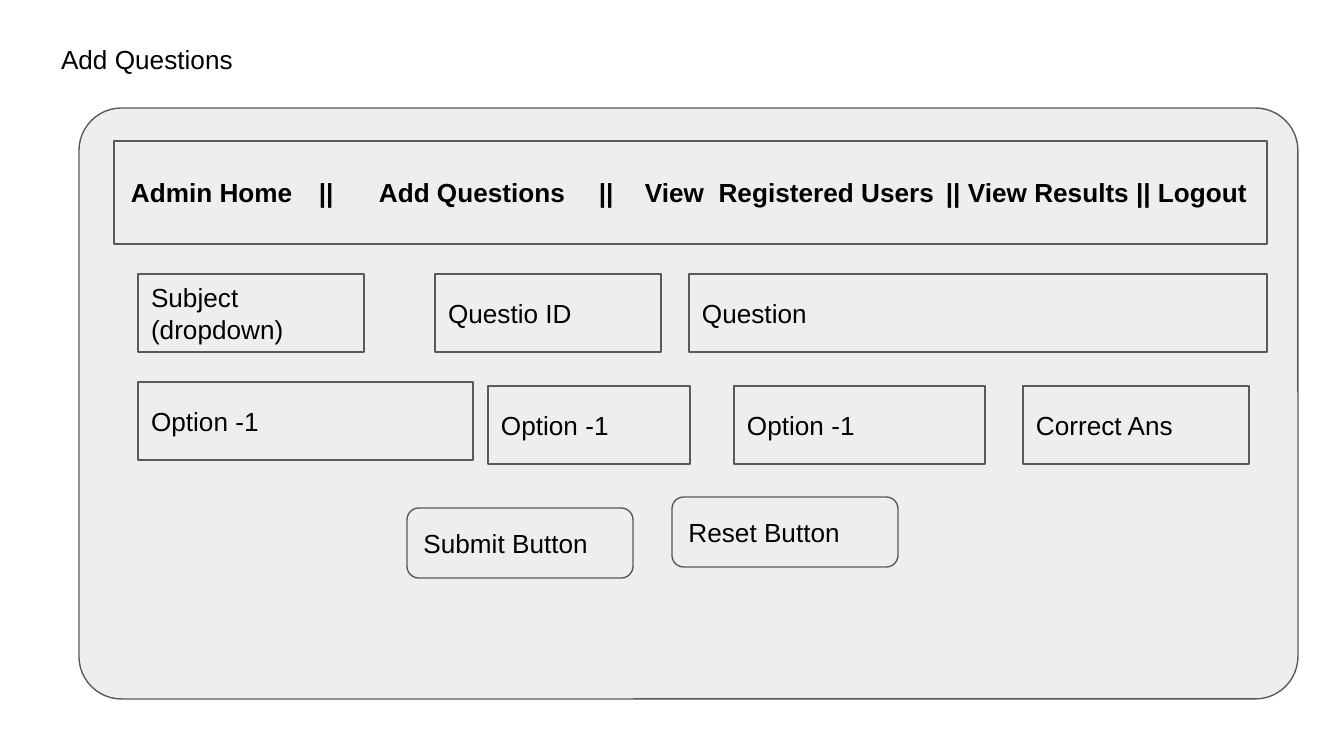
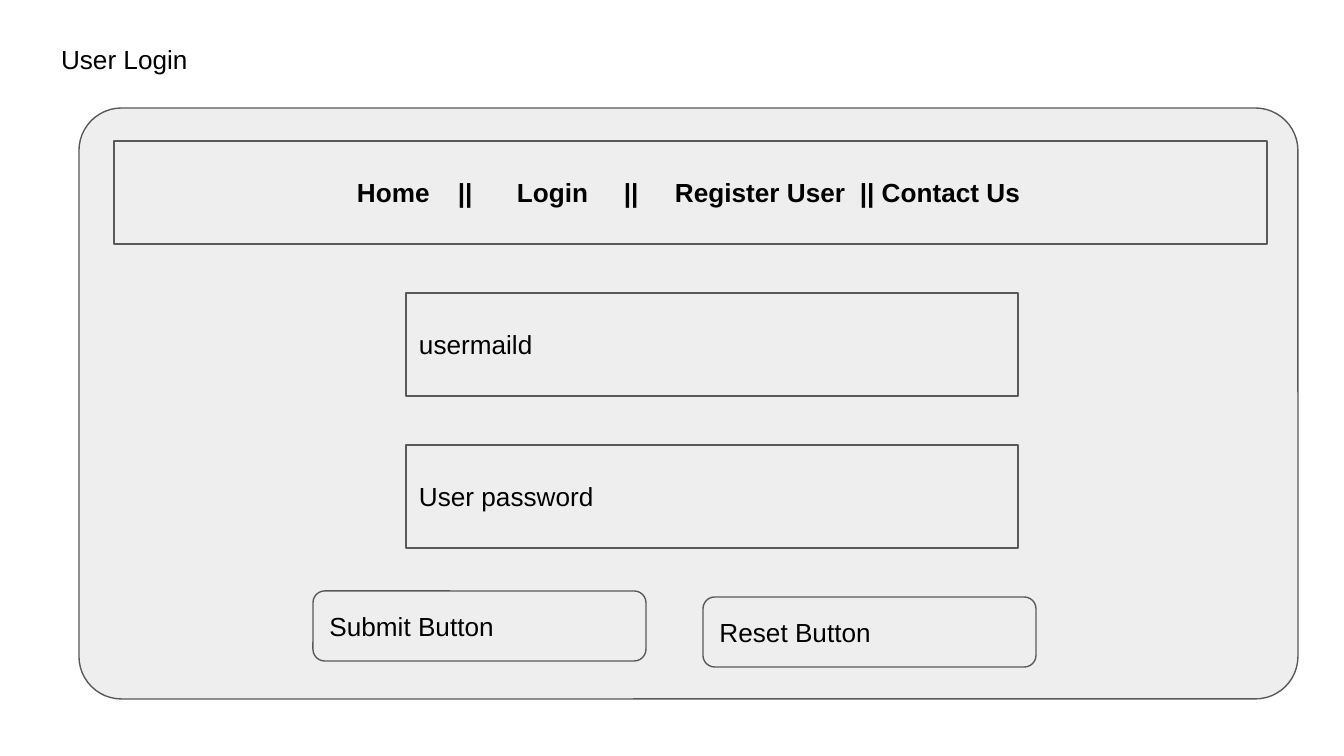
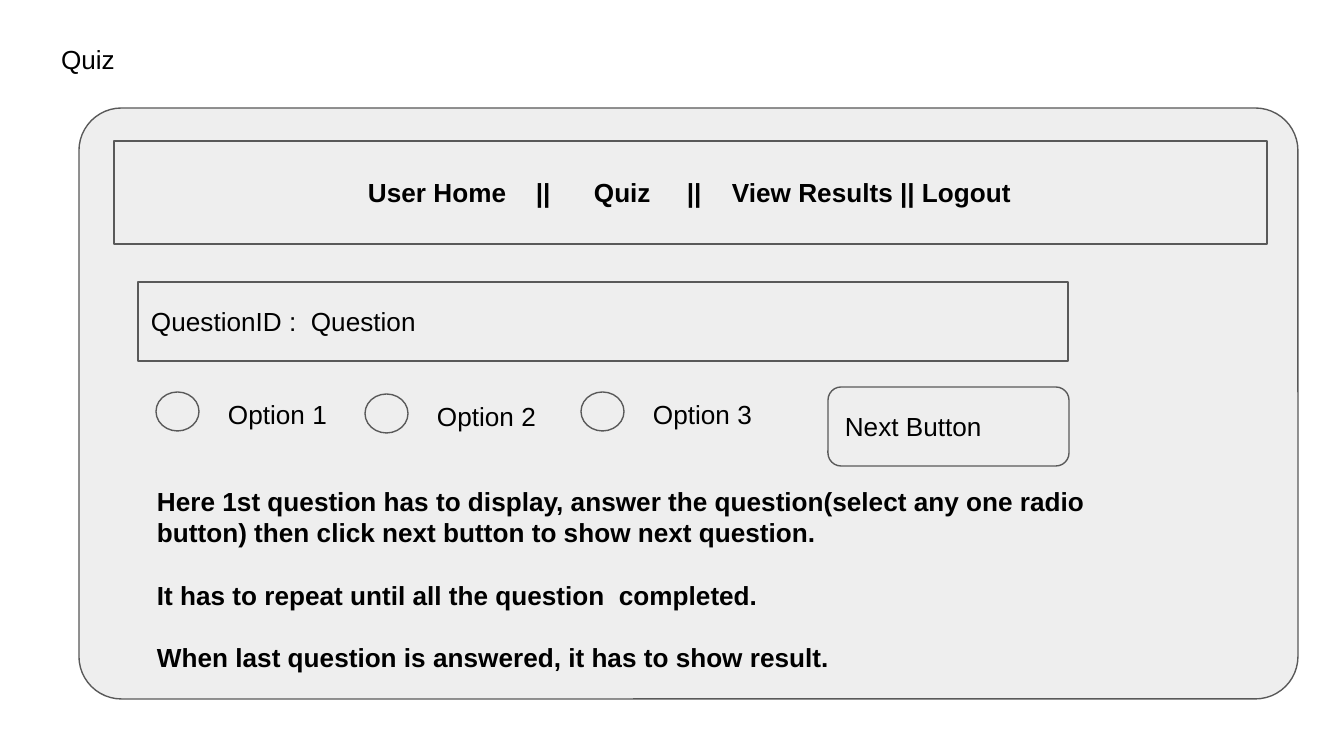
from dataclasses import dataclass

from lxml import etree
from pptx import Presentation
from pptx.dml.color import RGBColor
from pptx.enum.shapes import MSO_SHAPE
from pptx.enum.text import MSO_ANCHOR, MSO_AUTO_SIZE, PP_ALIGN
from pptx.oxml.ns import qn
from pptx.util import Emu, Pt

RECT, ROUND, OVAL = MSO_SHAPE.RECTANGLE, MSO_SHAPE.ROUNDED_RECTANGLE, MSO_SHAPE.OVAL
TOP, MIDDLE = MSO_ANCHOR.TOP, MSO_ANCHOR.MIDDLE
LEFT, NO_FIT = PP_ALIGN.LEFT, MSO_AUTO_SIZE.NONE

# Shared style
FONT, SIZE = "Arial", Pt(14)
BLACK = RGBColor(0x00, 0x00, 0x00)
GREY = RGBColor(0xEE, 0xEE, 0xEE)
EDGE = RGBColor(0x59, 0x59, 0x59)
INSET = 13
BLANK_LINE = Pt(16.8)
TITLE_ONLY = 5


@dataclass(frozen=True)
class Box:
    x: int
    y: int
    w: int
    h: int


@dataclass(frozen=True)
class Field:
    text: str
    box: Box
    kind: MSO_SHAPE = RECT


@dataclass(frozen=True)
class NavItem:
    x: int
    text: str


TITLE = Box(48, 30, 1263, 59)
PANEL = Box(79, 108, 1219, 591)
NAV = Box(114, 141, 1153, 103)


def px(n: float) -> Emu:
    return Emu(round(n * 914400 / 134.4))


def emu(box: Box) -> list[Emu]:
    return [px(n) for n in (box.x, box.y, box.w, box.h)]


def set_text(sp, *lines: str, bold: bool = False, anchor=TOP, left: int = INSET, gap=Pt(0)) -> None:
    tf = sp.text_frame
    tf.word_wrap = True
    tf.auto_size = NO_FIT
    tf.vertical_anchor = anchor
    tf.margin_left = px(left)
    tf.margin_right = tf.margin_top = tf.margin_bottom = px(INSET)
    for i, line in enumerate(lines):
        p = tf.add_paragraph() if i else tf.paragraphs[0]
        p.alignment = LEFT
        p.space_before = gap if i else Pt(0)
        r = p.add_run()
        r.text = line
        r.font.name, r.font.size, r.font.bold = FONT, SIZE, bold
        r.font.color.rgb = BLACK


def add_box(s, box: Box, kind=RECT):
    sp = s.shapes.add_shape(kind, *emu(box))
    sp.shadow.inherit = False
    sp.fill.solid()
    sp.fill.fore_color.rgb = GREY
    sp.line.color.rgb = EDGE
    sp.line.width = Pt(0.75)
    return sp


def add_fields(s, fields: list[Field]) -> None:
    for f in fields:
        set_text(add_box(s, f.box, f.kind), f.text, anchor=MIDDLE)


def add_label(s, box: Box, *lines: str, bold: bool = False, gap=Pt(0)) -> None:
    set_text(s.shapes.add_textbox(*emu(box)), *lines, bold=bold, gap=gap)


def add_nav(s, items: list[NavItem]) -> None:
    """Menu bar whose entries sit on tab stops."""
    sp = add_box(s, NAV)
    start = items[0].x
    set_text(sp, "\t".join(i.text for i in items), bold=True, anchor=MIDDLE, left=start - NAV.x)
    pPr = sp.text_frame.paragraphs[0]._p.get_or_add_pPr()
    tabs = etree.SubElement(pPr, qn("a:tabLst"))
    for item in items[1:]:
        etree.SubElement(tabs, qn("a:tab"), pos=str(px(item.x - start)), algn="l")


def add_screen(prs, title: str, nav: list[NavItem]):
    """Slide with its title, the screen panel and the menu bar."""
    s = prs.slides.add_slide(prs.slide_layouts[TITLE_ONLY])
    sp = s.shapes.title
    sp.left, sp.top, sp.width, sp.height = emu(TITLE)
    set_text(sp, title)
    add_box(s, PANEL, ROUND).adjustments[0] = 0.072
    add_nav(s, nav)
    return s


def add_questions(prs) -> None:
    s = add_screen(prs, "Add Questions", [
        NavItem(131, "Admin Home"), NavItem(319, "||"), NavItem(379, "Add Questions"),
        NavItem(599, "||"), NavItem(645, "View  Registered Users"),
        NavItem(946, "|| View Results || Logout"),
    ])
    add_fields(s, [
        Field("Subject (dropdown)", Box(138, 274, 226, 78)),
        Field("Questio ID", Box(435, 274, 226, 78)),
        Field("Question", Box(689, 274, 578, 78)),
        Field("Option -1", Box(138, 382, 335, 78)),
        Field("Option -1", Box(488, 386, 202, 78)),
        Field("Option -1", Box(734, 386, 251, 78)),
        Field("Correct Ans", Box(1023, 386, 226, 78)),
        Field("Submit Button", Box(407, 508, 226, 70), ROUND),
        Field("Reset Button", Box(672, 497, 226, 70), ROUND),
    ])


def user_login(prs) -> None:
    s = add_screen(prs, "User Login", [
        NavItem(357, "Home"), NavItem(458, "||"), NavItem(517, "Login"),
        NavItem(624, "||"), NavItem(675, "Register User"), NavItem(860, "|| Contact Us"),
    ])
    add_fields(s, [
        Field("usermaild", Box(406, 293, 612, 103)),
        Field("User password", Box(406, 445, 612, 103)),
        Field("Submit Button", Box(313, 591, 333, 70), ROUND),
        Field("Reset Button", Box(703, 597, 333, 70), ROUND),
    ])


def quiz(prs) -> None:
    s = add_screen(prs, "Quiz", [
        NavItem(368, "User Home"), NavItem(536, "||"), NavItem(594, "Quiz"),
        NavItem(687, "||"), NavItem(732, "View Results || Logout"),
    ])
    add_fields(s, [
        Field("QuestionID :  Question", Box(138, 282, 930, 79)),
        Field("Next Button", Box(828, 387, 241, 79), ROUND),
    ])
    # Radio buttons with their labels
    for n, (x, y) in enumerate([(156, 392), (365, 394), (581, 392)], 1):
        add_box(s, Box(x, y, 43, 39), OVAL)
        add_label(s, Box(x + 59, y - 7, 274, 59), f"Option {n}")
    # Explanation
    add_label(
        s, Box(144, 472, 1048, 218),
        "Here 1st question has to display, answer the question(select any one radio button) "
        "then click next button to show next question.",
        "It has to repeat until all the question  completed.",
        "When last question is answered, it has to show result.",
        bold=True, gap=BLANK_LINE,
    )


prs = Presentation()
prs.slide_width, prs.slide_height = px(1344), px(756)
add_questions(prs)
user_login(prs)
quiz(prs)
prs.save("out.pptx")
